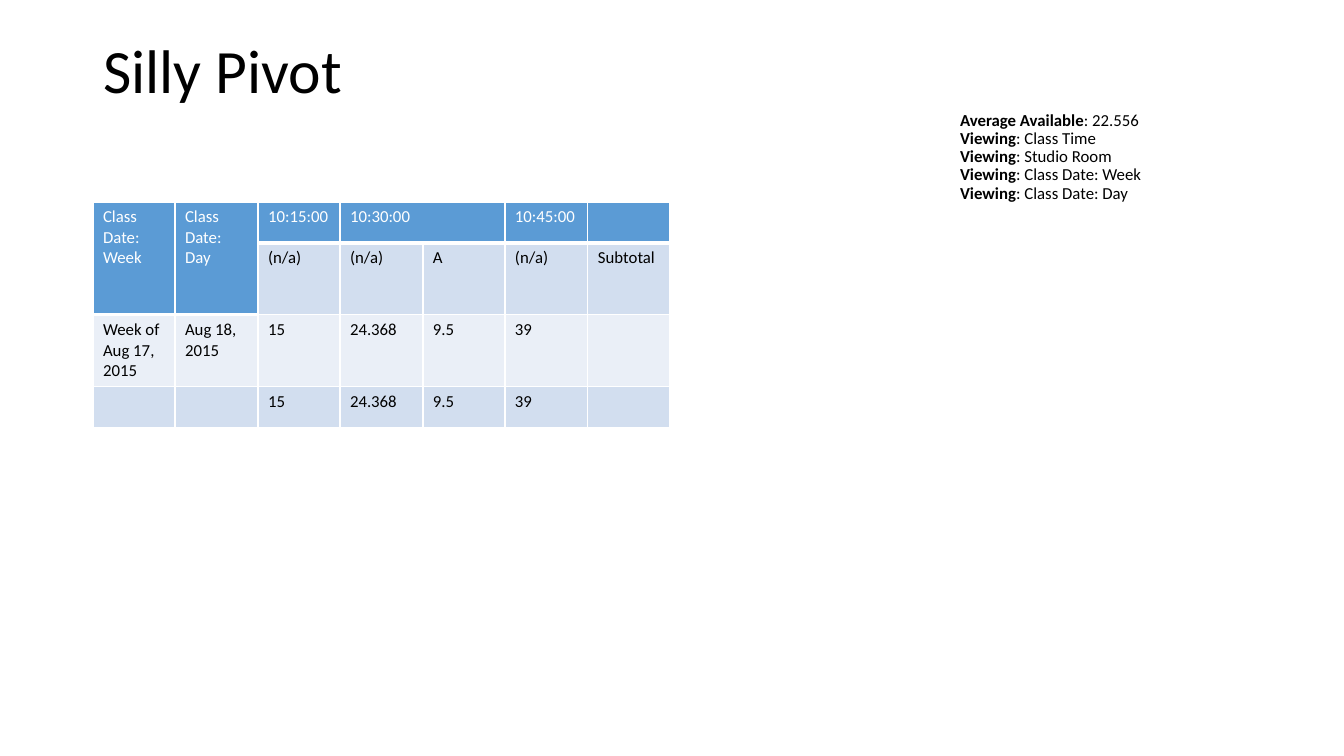
"""Build the Silly Pivot slide with its pivot table and summary list."""
from lxml.etree import SubElement
from pptx import Presentation
from pptx.dml.color import RGBColor
from pptx.enum.text import MSO_ANCHOR as Anchor, MSO_AUTO_SIZE as Fit, PP_ALIGN as Align
from pptx.oxml.ns import qn
from pptx.util import Emu, Pt

BLACK = RGBColor(0x00, 0x00, 0x00)
WHITE = RGBColor(0xFF, 0xFF, 0xFF)
BLUE = RGBColor(0x5B, 0x9B, 0xD5)
MIST = RGBColor(0xD2, 0xDE, 0xEF)
PALE = RGBColor(0xEA, 0xEF, 0xF7)
FONT = "Calibri"
PX = 914400 / 100.8


def px(*sizes):
    return [Emu(round(size * PX)) for size in sizes]


def style(run, size, color, bold=False):
    font = run.font
    font.name, font.size, font.bold = FONT, Pt(size), bold
    font.color.rgb = color


deck = Presentation()
deck.slide_width, deck.slide_height = px(1344, 756)
slide = deck.slides.add_slide(deck.slide_layouts[1])
title, notes = slide.placeholders

title.left, title.top, title.width, title.height = px(93, 40, 1159, 67)
frame = title.text_frame
frame.text = "Silly Pivot"
frame.vertical_anchor = Anchor.MIDDLE
frame.auto_size = Fit.NONE
head = frame.paragraphs[0]
head.alignment = Align.LEFT
head.line_spacing = 0.9
style(head.runs[0], 44, BLACK)

rows = [
    ["Class Date: Week", "Class Date: Day", "10:15:00", "10:30:00", "", "10:45:00", ""],
    ["", "", "(n/a)", "(n/a)", "A", "(n/a)", "Subtotal"],
    ["Week of Aug 17, 2015", "Aug 18, 2015", "15", "24.368", "9.5", "39", ""],
    ["", "", "15", "24.368", "9.5", "39", ""],
]
fills = [BLUE, MIST, PALE, MIST]
tall = [41, 71, 72, 41]
wide = [82, 83, 82, 83, 82, 83, 82]
table = slide.shapes.add_table(
    len(rows), len(wide), *px(93, 202, sum(wide), sum(tall))).table
for col, width in zip(table.columns, px(*wide)):
    col.width = width
for row, height in zip(table.rows, px(*tall)):
    row.height = height

for r, texts in enumerate(rows):
    for c, text in enumerate(texts):
        cell = table.cell(r, c)
        props = cell._tc.get_or_add_tcPr()
        for side in ("lnL", "lnR", "lnT", "lnB"):
            thick = 3 if r == 0 and side == "lnB" else 1
            line = SubElement(props, qn(f"a:{side}"), w=str(Pt(thick)))
            paint = SubElement(line, qn("a:solidFill"))
            SubElement(paint, qn("a:srgbClr"), val=str(WHITE))
        cell.fill.solid()
        cell.fill.fore_color.rgb = fills[r]
        if text:
            cell.text_frame.text = text
            style(cell.text_frame.paragraphs[0].runs[0], 12, BLACK if r else WHITE)

for c in (0, 1):
    table.cell(0, c).merge(table.cell(1, c))
table.cell(0, 3).merge(table.cell(0, 4))

facts = [
    ("Average Available", "22.556"),
    ("Viewing", "Class Time"),
    ("Viewing", "Studio Room"),
    ("Viewing", "Class Date: Week"),
    ("Viewing", "Class Date: Day"),
]
notes.left, notes.top, notes.width, notes.height = px(950, 107, 302, 101)
frame = notes.text_frame
frame.auto_size = Fit.NONE
for i, (label, value) in enumerate(facts):
    para = frame.add_paragraph() if i else frame.paragraphs[0]
    para.line_spacing = 0.9
    para.space_before = Pt(0)
    props = para._p.get_or_add_pPr()
    props.set("marL", "0")
    props.set("indent", "0")
    SubElement(props, qn("a:buNone"))
    for text, bold in ((label, True), (f": {value}", False)):
        run = para.add_run()
        run.text = text
        style(run, 12, BLACK, bold)

deck.save("out.pptx")
